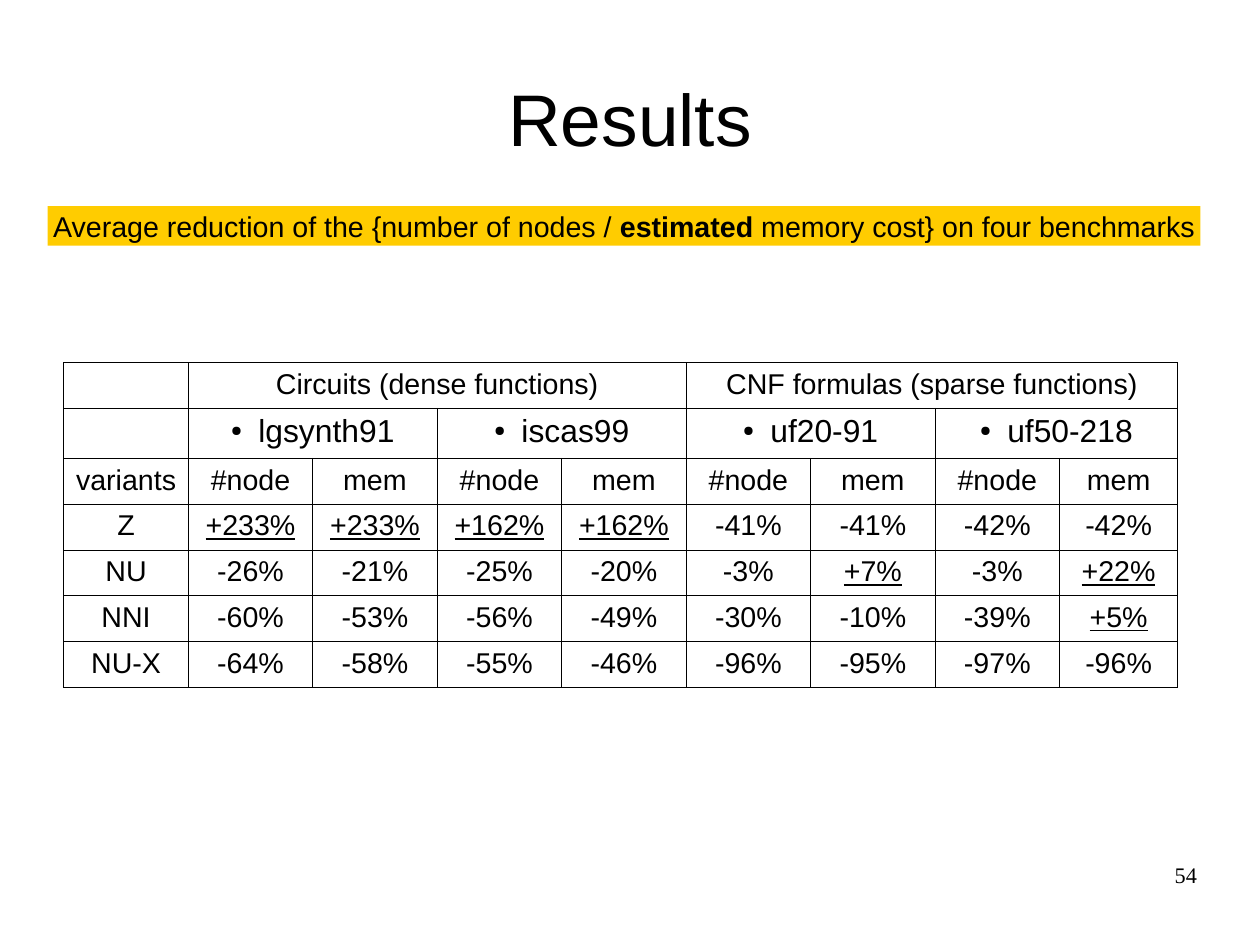
from pptx import Presentation
from pptx.util import Pt
from pptx.dml.color import RGBColor
from pptx.enum.shapes import MSO_SHAPE
from pptx.enum.text import MSO_ANCHOR, PP_ALIGN
from pptx.oxml import parse_xml
from pptx.oxml.ns import nsdecls


def color(code):
    return RGBColor.from_string(code)


def style(para, size, align=PP_ALIGN.CENTER, face="Arial"):
    para.alignment = align
    para.font.size = Pt(size)
    para.font.name = face
    para.font.color.rgb = color("000000")


deck = Presentation()
deck.slide_width, deck.slide_height = Pt(793.44), Pt(595.44)
slide = deck.slides.add_slide(deck.slide_layouts[6])

labels = [
    ("Results", 39.6, 23.8, 714.2, 99.4, 46, PP_ALIGN.CENTER, "Arial", MSO_ANCHOR.MIDDLE),
    ("54", 568.8, 542.2, 185, 41, 14, PP_ALIGN.RIGHT, "Times New Roman", MSO_ANCHOR.TOP),
]
for text, left, top, width, height, size, align, face, anchor in labels:
    frame = slide.shapes.add_textbox(Pt(left), Pt(top), Pt(width), Pt(height)).text_frame
    frame.margin_left = frame.margin_right = frame.margin_top = frame.margin_bottom = 0
    frame.word_wrap = True
    frame.vertical_anchor = anchor
    frame.text = text
    style(frame.paragraphs[0], size, align, face)

banner = slide.shapes.add_shape(MSO_SHAPE.RECTANGLE, Pt(30), Pt(129.8), Pt(726), Pt(24.8))
banner.shadow.inherit = False
banner.fill.solid()
banner.fill.fore_color.rgb = color("FFCC00")
banner.line.fill.background()
frame = banner.text_frame
frame.word_wrap = False
frame.vertical_anchor = MSO_ANCHOR.MIDDLE
para = frame.paragraphs[0]
style(para, 18)
for text, bold in [
    ("Average reduction of the {number of nodes / ", False),
    ("estimated", True),
    (" memory cost} on four benchmarks", False),
]:
    run = para.add_run()
    run.text = text
    run.font.bold = bold
    run.font.color.rgb = color("000000")

rows = [
    ["", "Circuits (dense functions)", "", "", "", "CNF formulas (sparse functions)", "", "", ""],
    ["", "lgsynth91", "", "iscas99", "", "uf20-91", "", "uf50-218", ""],
    ["variants"] + ["#node", "mem"] * 4,
    ["Z", "+233%", "+233%", "+162%", "+162%", "-41%", "-41%", "-42%", "-42%"],
    ["NU", "-26%", "-21%", "-25%", "-20%", "-3%", "+7%", "-3%", "+22%"],
    ["NNI", "-60%", "-53%", "-56%", "-49%", "-30%", "-10%", "-39%", "+5%"],
    ["NU-X", "-64%", "-58%", "-55%", "-46%", "-96%", "-95%", "-97%", "-96%"],
]
table = slide.shapes.add_table(7, 9, Pt(40.2), Pt(228.2), Pt(701.6), Pt(204.3)).table
table.first_row = table.horz_banding = False
for col in table.columns:
    col.width = Pt(78.4)
table.columns[8].width = Pt(74.4)
for row in table.rows:
    row.height = Pt(28.8)
table.rows[1].height = Pt(31.5)

for r, step in enumerate([4, 2]):
    for c in range(1, 9, step):
        table.cell(r, c).merge(table.cell(r, c + step - 1))

for r, row in enumerate(rows):
    for c, text in enumerate(row):
        cell = table.cell(r, c)
        props = cell._tc.get_or_add_tcPr()
        for side in "LRTB":
            props.append(parse_xml(
                f'<a:ln{side} {nsdecls("a")} w="{Pt(0.57)}"><a:solidFill>'
                f'<a:srgbClr val="000000"/></a:solidFill></a:ln{side}>'))
        cell.fill.background()
        cell.text = text
        para = cell.text_frame.paragraphs[0]
        if r == 1 and text:
            mark = para._p.get_or_add_pPr()
            mark.set("marL", str(Pt(17.3)))
            mark.set("indent", str(-Pt(17.3)))
            for bit in [
                f'<a:buClr {nsdecls("a")}><a:srgbClr val="000000"/></a:buClr>',
                f'<a:buSzPct {nsdecls("a")} val="45000"/>',
                f'<a:buChar {nsdecls("a")} char="●"/>',
            ]:
                mark.append(parse_xml(bit))
        style(para, 20 if r == 1 and text else 18)
        if text.startswith("+"):
            para.runs[0].font.underline = True

deck.save("out.pptx")
